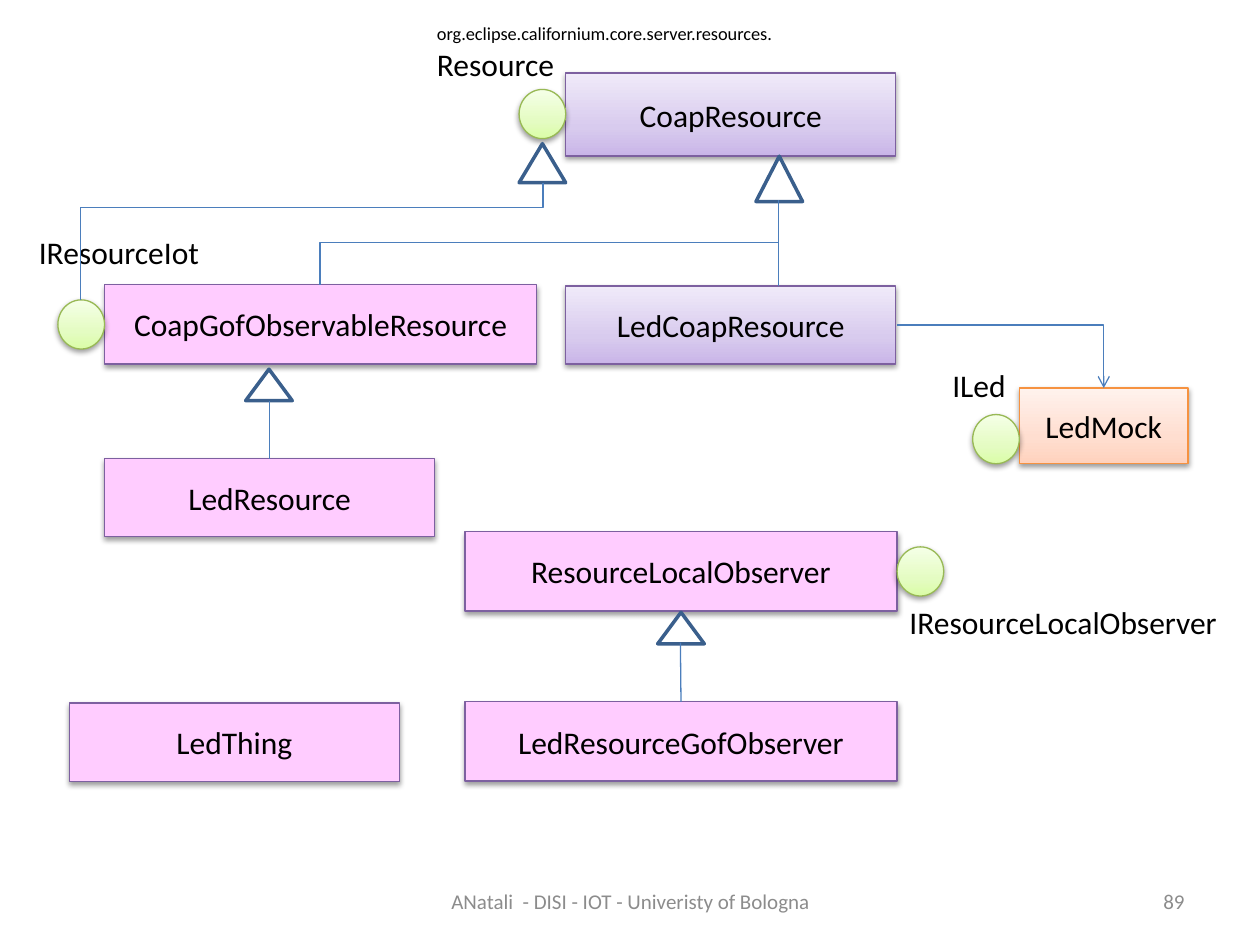
from dataclasses import dataclass
from lxml import etree
from pptx import Presentation
from pptx.dml.color import RGBColor as RGB
from pptx.enum.shapes import MSO_CONNECTOR as Link, MSO_SHAPE as Form
from pptx.enum.text import MSO_ANCHOR as Anchor, MSO_AUTO_SIZE as Fit, PP_ALIGN as Align
from pptx.oxml import parse_xml as load
from pptx.oxml.ns import nsdecls, qn
from pptx.util import Inches, Pt


@dataclass(frozen=True)
class Theme:
    font: str = "Calibri"
    ink: str = "000000"
    gray: str = "8C8C8C"
    white: str = "FFFFFF"
    wire: str = "4B7EBC"
    arrow: str = "3A5F8C"
    pink: tuple = ("7D60A0", "FFCCFF")
    violet: tuple = ("7D60A0", "C9B5E8", "D8CBEE", "F0EAF9")
    orange: tuple = ("F69240", "FFD2BD", "FFDED0", "FFF2ED")
    green: tuple = ("98B955", "DAFDA7", "E4FCC2", "F5FFE7")
    body: float = 18
    small: float = 10.5
    foot: float = 12
    thin: float = 0.75
    bold: float = 2


T = Theme()
BALL = (0.37, 0.39)

BOXES = [
    ("LedMock", 8.09, 3.08, 1.34, 0.6, T.orange),
    ("LedCoapResource", 4.49, 2.27, 2.62, 0.62, T.violet),
    ("CoapResource", 4.49, 0.58, 2.62, 0.66, T.violet),
    ("CoapGofObservableResource", 0.83, 2.26, 3.43, 0.63, T.pink),
    ("LedResource", 0.83, 3.64, 2.62, 0.62, T.pink),
    ("LedResourceGofObserver", 3.69, 5.57, 3.43, 0.63, T.pink),
    ("ResourceLocalObserver", 3.69, 4.22, 3.43, 0.63, T.pink),
    ("LedThing", 0.55, 5.58, 2.62, 0.62, T.pink),
]
BALLS = [(7.72, 3.29), (4.12, 0.71), (0.46, 2.38), (7.12, 4.34)]
HEADS = [(6, 1.24, 0.36), (4.12, 1.14, 0.31), (1.95, 2.93, 0.25), (5.22, 4.86, 0.25)]
LABELS = [
    (7.46, 2.86, 0.63, 0.4, [("ILed", T.body)]),
    (3.37, 0.13, 2.93, 0.58, [
        ("org.eclipse.californium.core.server.resources.", T.small),
        ("Resource", T.body),
    ]),
    (0.21, 1.8, 1.49, 0.4, [("IResourceIot", T.body)]),
    (7.12, 4.74, 2.67, 0.4, [("IResourceLocalObserver", T.body)]),
]
FOOT = [
    (3.42, 3.17, "ANatali  - DISI - IOT - Univeristy of Bologna", Align.CENTER),
    (7.17, 2.33, "89", Align.RIGHT),
]
STEMS = [
    (None, 6.18, 2.27, 6.18, 1.59),
    ("LedResource", 2.14, 3.64, 2.14, 3.18),
    ("LedResourceGofObserver", 5.4, 5.57, 5.4, 5.1),
]
RISES = [(2.54, 2.26, 6.18, 1.59, 50000), (0.64, 2.38, 4.31, 1.45, 78500)]

deck = Presentation()
deck.slide_width, deck.slide_height = Inches(10), Inches(7.5)
page = deck.slides.add_slide(deck.slide_layouts[6]).shapes


def write(para, text, size, color, align):
    para.alignment = align
    run = para.add_run()
    run.text = text
    run.font.name = T.font
    run.font.size = Pt(size)
    run.font.color.rgb = RGB.from_string(color)


def stroke(line, color, width):
    line.color.rgb = RGB.from_string(color)
    line.width = Pt(width)


def shade(shape, stops):
    marks = "".join(
        f'<a:gs pos="{pos}"><a:srgbClr val="{color}"/></a:gs>'
        for pos, color in zip((0, 35000, 100000), stops))
    fill = load(f'<a:gradFill {nsdecls("a")} rotWithShape="1"><a:gsLst>{marks}</a:gsLst>'
                '<a:lin ang="16200000" scaled="1"/></a:gradFill>')
    shape.element.spPr.find(qn("a:prstGeom")).addnext(fill)


def solid(form, place, color, edge, width):
    shape = page.add_shape(form, *map(Inches, place))
    shape.shadow.inherit = False
    if isinstance(color, str):
        shape.fill.solid()
        shape.fill.fore_color.rgb = RGB.from_string(color)
    else:
        shade(shape, color)
    stroke(shape.line, edge, width)
    return shape


def raised(form, place, skin):
    edge, *stops = skin
    shape = solid(form, place, stops[0] if len(stops) == 1 else stops, edge, T.thin)
    shape.element.spPr.find(qn("a:effectLst")).append(load(
        f'<a:outerShdw {nsdecls("a")} blurRad="40000" dist="20000" dir="5400000" '
        'rotWithShape="0"><a:srgbClr val="000000"><a:alpha val="38000"/>'
        '</a:srgbClr></a:outerShdw>'))
    return shape


def wire(kind, *ends):
    line = page.add_connector(kind, *map(Inches, ends))
    stroke(line.line, T.wire, T.thin)
    etree.SubElement(line.element.spPr, qn("a:effectLst"))
    return line


def rise(x1, y1, x2, y2, bend):
    midx, midy = (x1 + x2) / 2, (y1 + y2) / 2
    dx, dy = (y1 - y2) / 2, (x2 - x1) / 2
    props = wire(Link.ELBOW, midx + dx, midy + dy, midx - dx, midy - dy).element.spPr
    props.find(qn("a:xfrm")).set("rot", "5400000")
    guide = etree.SubElement(props.find(qn("a:prstGeom")).find(qn("a:avLst")), qn("a:gd"))
    guide.set("name", "adj1")
    guide.set("fmla", f"val {bend}")


def label(x, y, w, h, rows):
    box = page.add_textbox(*map(Inches, (x, y, w, h)))
    frame = box.text_frame
    frame.word_wrap = False
    frame.auto_size = Fit.SHAPE_TO_FIT_TEXT
    for i, (text, size) in enumerate(rows):
        para = frame.add_paragraph() if i else frame.paragraphs[0]
        write(para, text, size, T.ink, Align.LEFT)


for x, w, text, align in FOOT:
    frame = page.add_textbox(*map(Inches, (x, 6.95, w, 0.4))).text_frame
    frame.word_wrap = True
    frame.vertical_anchor = Anchor.MIDDLE
    write(frame.paragraphs[0], text, T.foot, T.gray, align)

nodes = {}
for name, *place, skin in BOXES:
    nodes[name] = raised(Form.RECTANGLE, place, skin)
    frame = nodes[name].text_frame
    frame.word_wrap = True
    frame.vertical_anchor = Anchor.MIDDLE
    write(frame.paragraphs[0], name, T.body, T.ink, Align.CENTER)

for spot in BALLS:
    raised(Form.OVAL, (*spot, *BALL), T.green)

for x, y, h in HEADS:
    solid(Form.ISOSCELES_TRIANGLE, (x, y, BALL[0], h), T.white, T.arrow, T.bold)

for item in LABELS:
    label(*item)

for name, *ends in STEMS:
    stem = wire(Link.STRAIGHT, *ends)
    if name:
        stem.begin_connect(nodes[name], 0)

for item in RISES:
    rise(*item)

uses = wire(Link.ELBOW, 7.12, 2.58, 8.76, 3.08)
uses.element.spPr.find(qn("a:prstGeom")).set("prst", "bentConnector2")
tip = etree.SubElement(uses.element.spPr.find(qn("a:ln")), qn("a:tailEnd"))
tip.set("type", "arrow")

deck.save("out.pptx")
